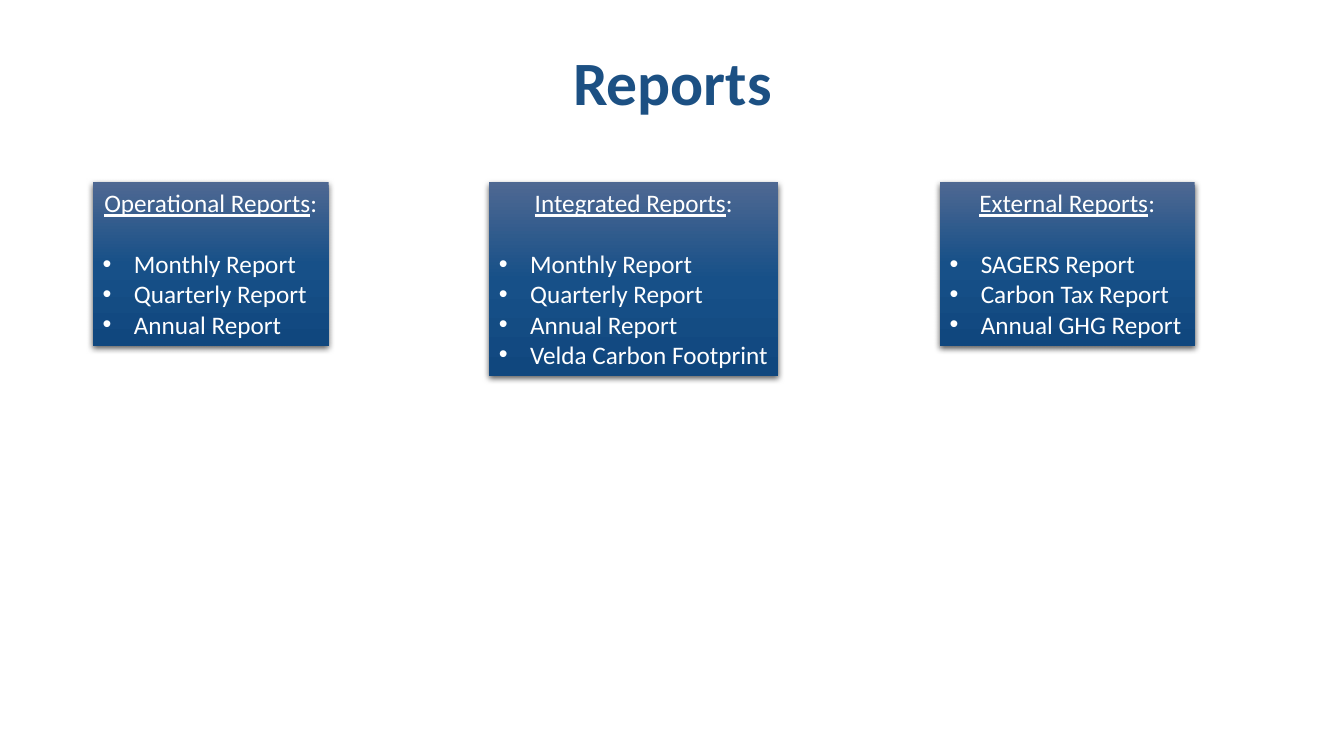
from lxml.etree import SubElement
from pptx import Presentation
from pptx.dml.color import RGBColor
from pptx.enum.shapes import MSO_SHAPE
from pptx.enum.text import MSO_ANCHOR, MSO_AUTO_SIZE, PP_ALIGN
from pptx.oxml.ns import qn
from pptx.util import Inches, Pt

COLORS = {
    "title": "1C5083",
    "text": "FFFFFF",
    "top": "4E6892",
    "middle": "175088",
    "bottom": "10477E",
    "shadow": "000000",
}
FONT = "Calibri"
BOX_TOP = 1.81
# left, width, height, heading, reports
BOXES = [
    (0.92, 2.34, 1.62, "Operational Reports",
     ["Monthly Report", "Quarterly Report", "Annual Report"]),
    (4.85, 2.87, 1.92, "Integrated Reports",
     ["Monthly Report", "Quarterly Report", "Annual Report", "Velda Carbon Footprint"]),
    (9.32, 2.53, 1.62, "External Reports",
     ["SAGERS Report", "Carbon Tax Report", "Annual GHG Report"]),
]


class ReportSlide:
    def __init__(self, prs):
        self.slide = prs.slides.add_slide(prs.slide_layouts[5])

    def run(self, p, text, size, color, bold=False, underline=False):
        r = p.add_run()
        r.text = text
        r.font.name = FONT
        r.font.size = Pt(size)
        r.font.bold = bold
        r.font.underline = underline
        r.font.color.rgb = RGBColor.from_string(COLORS[color])

    def title(self, text, left, top, width, height):
        sp = self.slide.shapes.title
        sp.left, sp.top = Inches(left), Inches(top)
        sp.width, sp.height = Inches(width), Inches(height)
        tf = sp.text_frame
        tf.auto_size = MSO_AUTO_SIZE.NONE
        tf.vertical_anchor = MSO_ANCHOR.MIDDLE
        p = tf.paragraphs[0]
        p.alignment = PP_ALIGN.CENTER
        p.line_spacing = 0.9
        self.run(p, text, 44, "title", bold=True)

    def gradient(self, sp):
        """Fill from top to bottom with three evenly spaced stops."""
        sp.fill.gradient()
        sp.fill.gradient_angle = 270
        stops = sp.element.spPr.find(".//" + qn("a:gsLst"))
        for gs in list(stops):
            stops.remove(gs)
        for i, name in enumerate(("top", "middle", "bottom")):
            gs = SubElement(stops, qn("a:gs"), pos=str(i * 50000))
            SubElement(gs, qn("a:srgbClr"), val=COLORS[name])

    def shadow(self, sp):
        sp.shadow.inherit = False
        effects = sp.element.spPr.find(qn("a:effectLst"))
        outer = SubElement(effects, qn("a:outerShdw"), blurRad=str(Pt(4.5)),
                           dist=str(Pt(1.5)), dir="5400000", algn="ctr", rotWithShape="0")
        color = SubElement(outer, qn("a:srgbClr"), val=COLORS["shadow"])
        SubElement(color, qn("a:alpha"), val="63000")

    def bullet(self, p):
        pPr = p._p.get_or_add_pPr()
        pPr.set("marL", str(Inches(0.31)))
        pPr.set("indent", str(Inches(-0.31)))
        SubElement(pPr, qn("a:buFont"), typeface="Arial")
        SubElement(pPr, qn("a:buChar"), char="•")

    def box(self, left, width, height, heading, reports):
        sp = self.slide.shapes.add_shape(
            MSO_SHAPE.RECTANGLE, Inches(left), Inches(BOX_TOP), Inches(width), Inches(height))
        self.gradient(sp)
        sp.line.fill.background()
        self.shadow(sp)
        tf = sp.text_frame
        tf.word_wrap = False
        tf.auto_size = MSO_AUTO_SIZE.SHAPE_TO_FIT_TEXT
        tf.vertical_anchor = MSO_ANCHOR.TOP
        p = tf.paragraphs[0]
        p.alignment = PP_ALIGN.CENTER
        p.space_after = Pt(22)
        self.run(p, heading, 18, "text", underline=True)
        self.run(p, ":", 18, "text")
        for report in reports:
            p = tf.add_paragraph()
            p.alignment = PP_ALIGN.LEFT
            self.bullet(p)
            self.run(p, report, 18, "text")


def main():
    prs = Presentation()
    prs.slide_width, prs.slide_height = Inches(13.33), Inches(7.5)
    slide = ReportSlide(prs)
    slide.title("Reports", 0.92, 0.4, 11.5, 0.9)
    for box in BOXES:
        slide.box(*box)
    prs.save("out.pptx")


if __name__ == "__main__":
    main()
